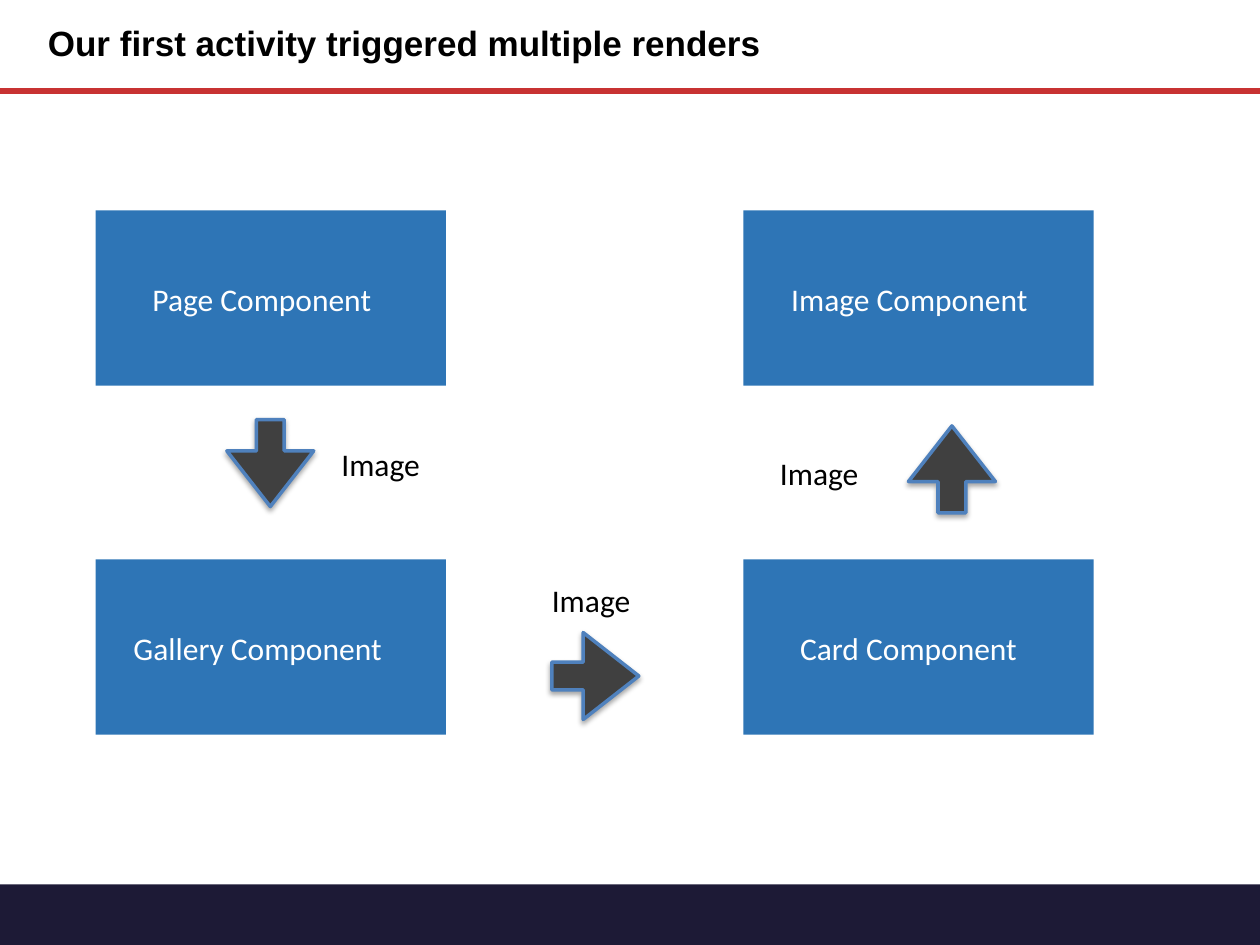
from dataclasses import dataclass

from lxml.etree import SubElement
from pptx import Presentation
from pptx.dml.color import RGBColor as Rgb
from pptx.enum.shapes import MSO_CONNECTOR as Link, MSO_SHAPE as Kind
from pptx.enum.text import MSO_ANCHOR as Anchor, MSO_AUTO_SIZE as Fit
from pptx.oxml.ns import qn
from pptx.util import Inches, Pt

COLORS = {
    "band": "1D1A36", "rule": "C83232", "box": "2E75B6", "arrow": "404040",
    "edge": "4F81BD", "dark": "000000", "light": "FFFFFF",
}
BOX_W, BOX_H = 2.78, 1.39
LEFT, RIGHT = 0.76, 5.9
TOP, LOW = 1.67, 4.44
TEXT_H = 0.39
ARROW = 0.69


@dataclass
class Box:
    name: str
    left: float
    top: float
    text_left: float
    text_w: float


@dataclass
class Arrow:
    left: float
    top: float
    turn: int
    text_left: float
    text_top: float


BOXES = [
    Box("Page Component", LEFT, TOP, 1.16, 1.98),
    Box("Gallery Component", LEFT, LOW, 1.01, 2.27),
    Box("Card Component", RIGHT, LOW, 6.3, 1.98),
    Box("Image Component", RIGHT, TOP, 6.23, 2.13),
]
ARROWS = [
    Arrow(1.8, 3.33, 90, 2.66, 3.48),
    Arrow(4.38, 5.02, 0, 4.33, 4.56),
    Arrow(7.21, 3.38, 270, 6.14, 3.55),
]


def color(name: str) -> Rgb:
    return Rgb.from_string(COLORS[name])


def add_text(slide, text: str, left: float, top: float, width: float,
             height: float = TEXT_H, *, size: int = 18, font: str = "Calibri",
             ink: str = "dark", bold: bool = False, wrap: bool = False,
             anchor=Anchor.TOP, fit=Fit.SHAPE_TO_FIT_TEXT, space: float = 1.0):
    area = slide.shapes.add_textbox(
        Inches(left), Inches(top), Inches(width), Inches(height))
    frame = area.text_frame
    frame.margin_left = frame.margin_right = Inches(0.05)
    frame.margin_top = frame.margin_bottom = Inches(0.05)
    frame.word_wrap, frame.auto_size = wrap, fit
    frame.vertical_anchor = anchor
    para = frame.paragraphs[0]
    para.line_spacing = space
    run = para.add_run()
    run.text = text
    run.font.size, run.font.name, run.font.bold = Pt(size), font, bold
    run.font.color.rgb = color(ink)


def add_fill(slide, kind, left: float, top: float, width: float,
             height: float, fill: str):
    """Add a filled shape with neither line nor shadow."""
    shape = slide.shapes.add_shape(
        kind, Inches(left), Inches(top), Inches(width), Inches(height))
    shape.fill.solid()
    shape.fill.fore_color.rgb = color(fill)
    shape.line.fill.background()
    shape.shadow.inherit = False
    return shape


def add_shade(shape) -> None:
    """Give the shape a soft shadow straight below it."""
    effects = shape._element.spPr.find(qn("a:effectLst"))
    shade = SubElement(effects, qn("a:outerShdw"), blurRad=str(Pt(3)),
                       dist=str(Pt(1.8)), dir=str(90 * 60000), rotWithShape="0")
    tint = SubElement(shade, qn("a:srgbClr"), val=COLORS["dark"])
    SubElement(tint, qn("a:alpha"), val="35000")


def add_box(slide, box: Box) -> None:
    add_fill(slide, Kind.RECTANGLE, box.left, box.top, BOX_W, BOX_H, "box")
    add_text(slide, box.name, box.text_left, box.top + 0.5, box.text_w,
             ink="light")


def add_arrow(slide, arrow: Arrow) -> None:
    shape = add_fill(slide, Kind.RIGHT_ARROW, arrow.left, arrow.top,
                     ARROW, ARROW, "arrow")
    shape.adjustments[0], shape.adjustments[1] = 0.32, 0.64
    shape.rotation = arrow.turn
    shape.line.color.rgb = color("edge")
    shape.line.width = Pt(2)
    add_shade(shape)
    add_text(slide, "Image", arrow.text_left, arrow.text_top, 0.78)


def add_rule(slide, top: float) -> None:
    rule = slide.shapes.add_connector(
        Link.STRAIGHT, 0, Inches(top), Inches(10), Inches(top))
    rule.line.color.rgb = color("rule")
    rule.line.width = Pt(3.25)
    SubElement(rule._element.spPr, qn("a:effectLst"))


def main() -> None:
    deck = Presentation()
    deck.slide_width, deck.slide_height = Inches(10), Inches(7.5)
    slide = deck.slides.add_slide(deck.slide_layouts[6])
    add_fill(slide, Kind.RECTANGLE, 0, 7.02, 10.01, 0.5, "band")
    add_rule(slide, 0.72)
    add_text(slide, "Our first activity triggered multiple renders",
             0.33, 0, 5.98, 0.72, size=20, font="Arial", bold=True, wrap=True,
             anchor=Anchor.MIDDLE, fit=Fit.NONE, space=0.9)
    for box in BOXES:
        add_box(slide, box)
    for arrow in ARROWS:
        add_arrow(slide, arrow)
    deck.save("out.pptx")


if __name__ == "__main__":
    main()
